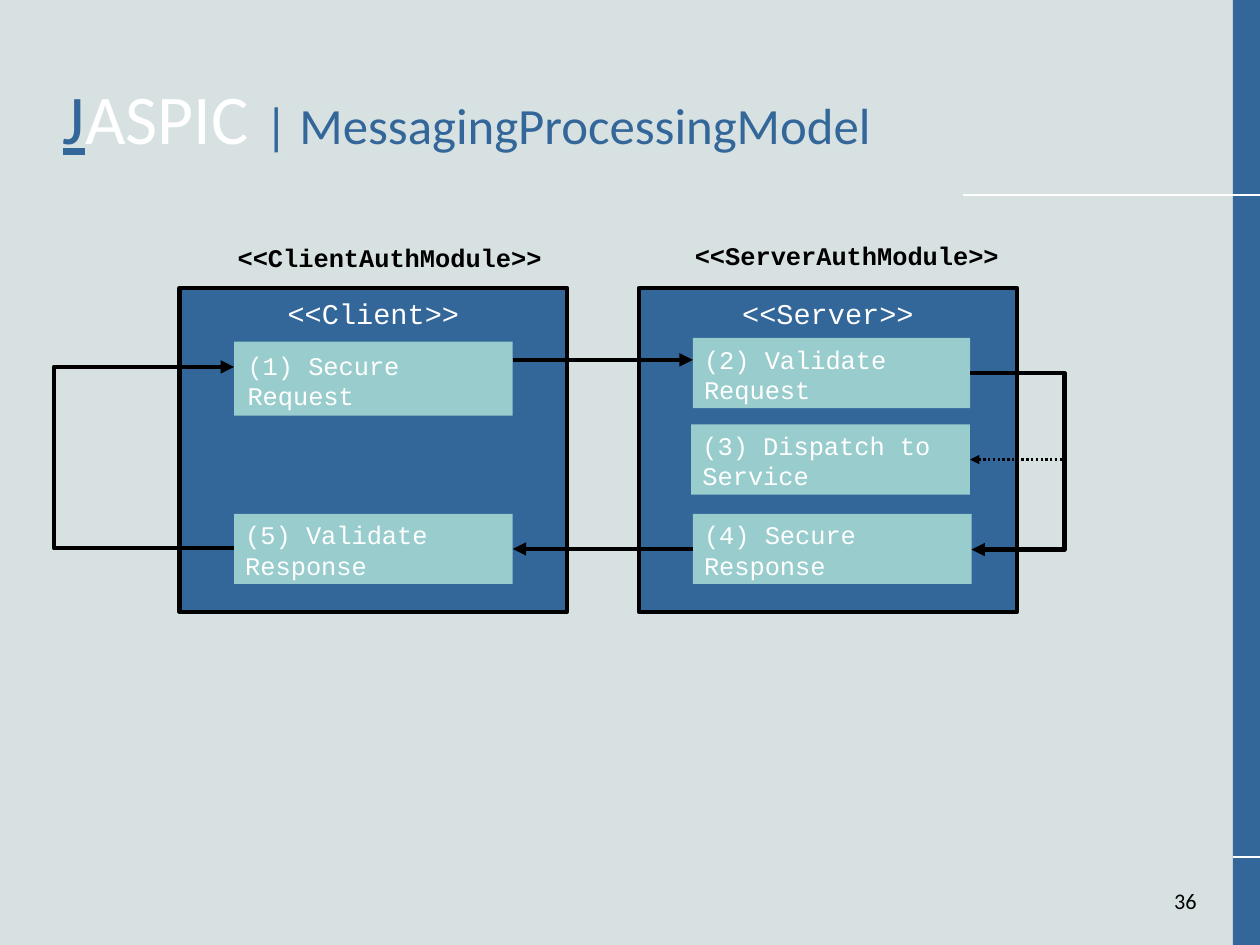
from dataclasses import dataclass

from lxml.etree import SubElement
from pptx import Presentation
from pptx.dml.color import RGBColor
from pptx.enum.dml import MSO_LINE
from pptx.enum.shapes import MSO_CONNECTOR, MSO_SHAPE
from pptx.enum.text import MSO_ANCHOR, MSO_AUTO_SIZE, PP_ALIGN
from pptx.oxml.ns import qn
from pptx.util import Pt

BLUE = RGBColor(0x33, 0x66, 0x99)
TEAL = RGBColor(0x99, 0xCC, 0xCC)
PALE = RGBColor(0xD7, 0xE1, 0xE1)
WHITE = RGBColor(0xFF, 0xFF, 0xFF)
BLACK = RGBColor(0, 0, 0)
SANS, MONO = "Calibri", "Courier New"
SLIDE_W, SLIDE_H = 793.7, 595.28
BAR_X = 776.6
LEFT, RIGHT = 1, 3


@dataclass
class Module:
    name: str
    left: float
    width: float
    label: str
    label_left: float
    label_top: float


@dataclass
class Step:
    text: str
    left: float
    top: float
    width: float = 175.6
    height: float = 44.2
    inset: tuple[float, float] = (7.2, 3.6)


MODULES = [
    Module("<<Client>>", 113.2, 244, "<<ClientAuthModule>>", 142.6, 149),
    Module("<<Server>>", 402.4, 238.2, "<<ServerAuthModule>>", 430.6, 147.6),
]
STEPS = [
    Step("(1) Secure Request", 147.4, 215.3, height=46.6, inset=(8.5, 5)),
    Step("(2) Validate Request", 436.4, 212.9, width=174.7),
    Step("(3) Dispatch to Service", 435.4, 267.4),
    Step("(4) Secure Response", 436.4, 323.7),
    Step("(5) Validate Response", 147.4, 323.7),
]


def set_text(shape, text: str, size: float, font: str, color: RGBColor,
             inset: tuple[float, float], align=PP_ALIGN.LEFT, bold: bool = False,
             wrap: bool = True) -> None:
    tf = shape.text_frame
    tf.word_wrap = wrap
    tf.vertical_anchor = MSO_ANCHOR.TOP
    tf.margin_left = tf.margin_right = Pt(inset[0])
    tf.margin_top = tf.margin_bottom = Pt(inset[1])
    p = tf.paragraphs[0]
    p.text = text
    p.alignment = align
    p.font.size, p.font.name, p.font.bold = Pt(size), font, bold
    p.font.color.rgb = color


def add_rect(s, x: float, y: float, w: float, h: float, fill: RGBColor,
             border: bool = False):
    sp = s.shapes.add_shape(MSO_SHAPE.RECTANGLE, Pt(x), Pt(y), Pt(w), Pt(h))
    sp.shadow.inherit = False
    sp.fill.solid()
    sp.fill.fore_color.rgb = fill
    if border:
        sp.line.color.rgb = BLACK
        sp.line.width = Pt(2.83)
    else:
        sp.line.fill.background()
    return sp


def style_line(sp, color: RGBColor, width: float, arrow: bool) -> None:
    sp.line.color.rgb = color
    sp.line.width = Pt(width)
    if arrow:
        SubElement(sp.line._get_or_add_ln(), qn("a:tailEnd"), type="triangle")


def add_line(s, x1: float, y1: float, x2: float, y2: float, color: RGBColor = BLACK,
             width: float = 2.83, arrow: bool = True, dashed: bool = False):
    c = s.shapes.add_connector(MSO_CONNECTOR.STRAIGHT, Pt(x1), Pt(y1), Pt(x2), Pt(y2))
    SubElement(c._element.spPr, qn("a:effectLst"))
    c.line.color.rgb = color
    if dashed:
        c.line.dash_style = MSO_LINE.ROUND_DOT
    style_line(c, color, width, arrow)
    return c


def add_loop(s, start: tuple[float, float], turn_x: float, end: tuple[float, float]) -> None:
    fb = s.shapes.build_freeform(Pt(start[0]), Pt(start[1]))
    corners = [(turn_x, start[1]), (turn_x, end[1]), end]
    fb.add_line_segments([(Pt(x), Pt(y)) for x, y in corners], close=False)
    sp = fb.convert_to_shape()
    sp.shadow.inherit = False
    sp.fill.background()
    style_line(sp, BLACK, 2.83, True)


def add_title(s) -> None:
    title = s.shapes.title
    title.left, title.top, title.width, title.height = Pt(39.6), Pt(23.6), Pt(714.2), Pt(99.3)
    tf = title.text_frame
    tf.margin_left = tf.margin_right = tf.margin_top = tf.margin_bottom = 0
    tf.vertical_anchor = MSO_ANCHOR.MIDDLE
    tf.auto_size = MSO_AUTO_SIZE.NONE
    p = tf.paragraphs[0]
    p.alignment = PP_ALIGN.LEFT
    p.font.name = SANS
    for text, size, color in [("J", 44, BLUE), ("ASPIC ", 44, WHITE),
                              ("| MessagingProcessingModel", 32, BLUE)]:
        r = p.add_run()
        r.text = text
        r.font.size = Pt(size)
        r.font.color.rgb = color
        r.font.underline = text == "J"


def main() -> None:
    prs = Presentation()
    prs.slide_width, prs.slide_height = Pt(SLIDE_W), Pt(SLIDE_H)
    s = prs.slides.add_slide(prs.slide_layouts[5])
    s.background.fill.solid()
    s.background.fill.fore_color.rgb = PALE

    # Side bar, rules and title
    add_rect(s, BAR_X, 0, SLIDE_W - BAR_X, SLIDE_H, BLUE)
    for x, y in [(606.6, 122.9), (BAR_X, 539.8)]:
        add_line(s, SLIDE_W, y, x, y, WHITE, 1.42, arrow=False)
    add_title(s)

    # Client and server modules with their labels
    for m in MODULES:
        box = add_rect(s, m.left, 181.4, m.width, 204, BLUE, border=True)
        set_text(box, m.name, 18, MONO, WHITE, (8.5, 5), PP_ALIGN.CENTER)
        label = s.shapes.add_textbox(Pt(m.label_left), Pt(m.label_top), Pt(206.6), Pt(25.9))
        set_text(label, m.label, 16, MONO, BLACK, (7.2, 3.6), bold=True, wrap=False)

    # Processing steps
    boxes = []
    for step in STEPS:
        box = add_rect(s, step.left, step.top, step.width, step.height, TEAL)
        set_text(box, step.text, 16, MONO, WHITE, step.inset)
        boxes.append(box)
    _, _, dispatch, secure_response, validate_response = boxes

    # Message flow
    add_line(s, 323, 226.7, 436.4, 226.7)
    response = add_line(s, 436.4, 345.8, 323, 345.8)
    response.begin_connect(secure_response, LEFT)
    response.end_connect(validate_response, RIGHT)
    add_loop(s, (611.1, 235), 670.5, (612, 346.2))
    add_loop(s, (147.4, 345.3), 34, (147.4, 231.1))
    to_service = add_line(s, 669, 289.5, 611, 289.5, width=1.5, dashed=True)
    to_service.end_connect(dispatch, RIGHT)

    # Slide number
    number = s.shapes.add_textbox(Pt(568.8), Pt(559.2), Pt(185), Pt(18.7))
    set_text(number, "36", 14, SANS, BLACK, (0, 0), PP_ALIGN.RIGHT)

    prs.save("out.pptx")


if __name__ == "__main__":
    main()
